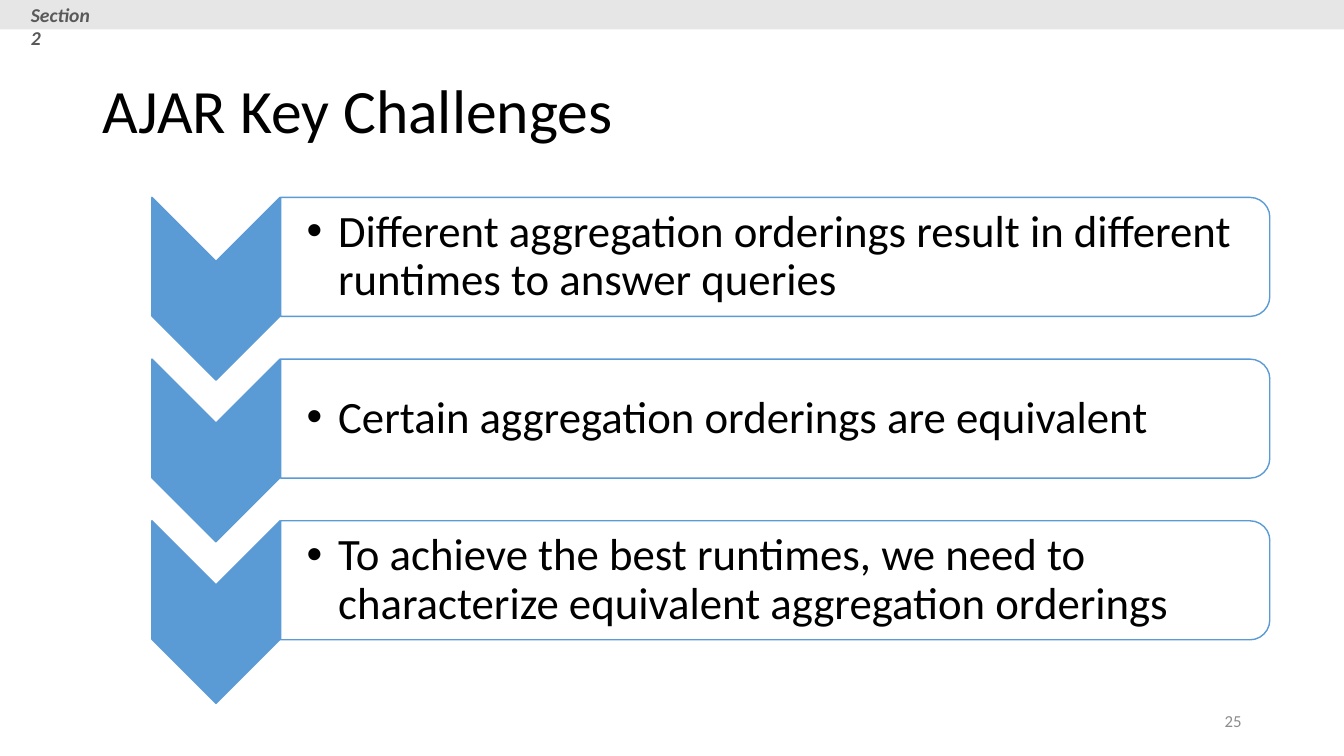
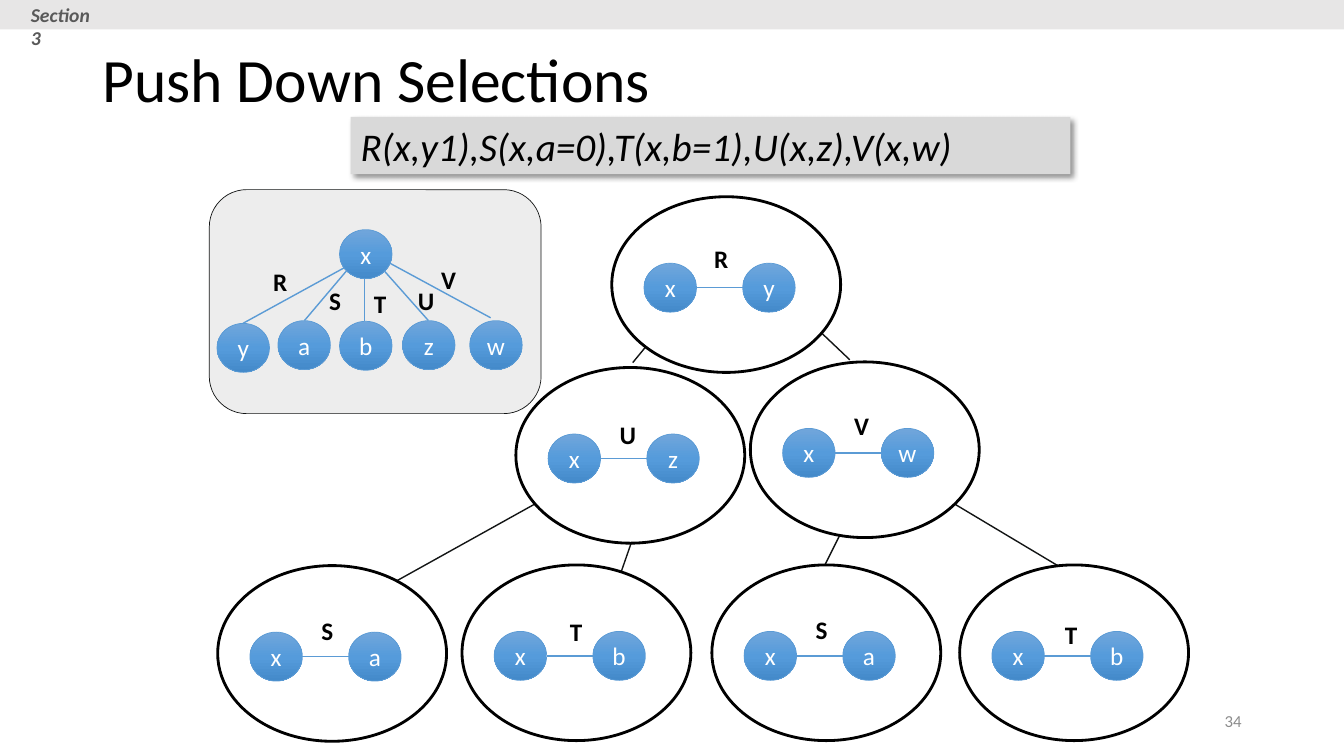
from copy import deepcopy
from dataclasses import dataclass

from lxml.etree import SubElement
from pptx import Presentation
from pptx.dml.color import RGBColor as RGB
from pptx.enum.shapes import MSO_CONNECTOR as Wire, MSO_SHAPE as Form
from pptx.enum.text import MSO_ANCHOR as Anchor, PP_ALIGN as Align
from pptx.oxml.ns import qn
from pptx.util import Pt


@dataclass(frozen=True)
class Theme:
    font: str = "Calibri"
    black: str = "000000"
    white: str = "FFFFFF"
    blue: str = "5B9BD5"
    edge: str = "131515"
    band: str = "E7E6E6"
    panel: str = "EDEDED"
    query: str = "D9D9D9"
    label: str = "595959"
    number: str = "8C8C8C"
    shade: tuple = ((0, "71A6DB"), (0.5, "559BDB"), (1, "448ACA"))
    title: int = 44
    body: int = 32
    code: int = 28
    node: int = 18
    head: int = 14
    foot: int = 12


def put(item, **vals):
    for name, val in vals.items():
        setattr(item, name, val)


def box(*nums):
    return [Pt(num) for num in nums]


class Deck:
    NODE = (37.5, 35)
    BAG = (163.5, 125.5)

    def __init__(self, theme):
        self.theme = theme
        self.file = Presentation()
        put(self.file, slide_width=Pt(960), slide_height=Pt(540))
        self.slide = None

    def start(self, title, top, section, number):
        look = self.theme
        self.slide = self.file.slides.add_slide(self.file.slide_layouts[5])
        head = self.slide.shapes.title
        put(head, left=Pt(66), top=Pt(top), width=Pt(876), height=Pt(104.5))
        self.label(head, title, look.title, look.black, space=0.9)
        self.shape(Form.RECTANGLE, (0, 0, 960, 21), look.band)
        self.text((15, -1.5, 66, 24.5), section, look.head, look.label,
                  anchor=Anchor.TOP, bold=True, italic=True)
        self.text((678, 500.5, 216, 28.5), number, look.foot, look.number,
                  align=Align.RIGHT)

    def label(self, item, text, size, color, align=Align.LEFT,
              anchor=Anchor.MIDDLE, space=None, inset=(7.2, 3.6, 7.2, 3.6),
              bullet=False, **style):
        left, top, right, base = box(*inset)
        frame = item.text_frame
        put(frame, word_wrap=True, vertical_anchor=anchor, margin_left=left,
            margin_top=top, margin_right=right, margin_bottom=base)
        para = frame.paragraphs[0]
        para.text = text
        put(para, alignment=align, line_spacing=space)
        if bullet:
            props = para._p.get_or_add_pPr()
            props.set("marL", str(Pt(22.5)))
            props.set("indent", str(-Pt(22.5)))
            SubElement(props, qn("a:buFont")).set("typeface", "Arial")
            SubElement(props, qn("a:buChar")).set("char", "•")
        put(para.font, name=self.theme.font, size=Pt(size), **style)
        para.font.color.rgb = RGB.from_string(color)

    def text(self, area, text, size, color, **style):
        item = self.slide.shapes.add_textbox(*box(*area))
        self.label(item, text, size, color, **style)

    def shape(self, form, area, fill, line=None, width=1):
        item = self.slide.shapes.add_shape(form, *box(*area))
        item.shadow.inherit = False
        if isinstance(fill, tuple):
            self.blend(item, fill)
        else:
            item.fill.solid()
            item.fill.fore_color.rgb = RGB.from_string(fill)
        if line:
            item.line.color.rgb = RGB.from_string(line)
            item.line.width = Pt(width)
        else:
            item.line.fill.background()
        return item

    def blend(self, item, shades):
        item.fill.gradient()
        item.fill.gradient_angle = 270
        stops = item._element.spPr.find(qn("a:gradFill")).find(qn("a:gsLst"))
        stops.append(deepcopy(stops[0]))
        for stop, (place, color) in zip(item.fill.gradient_stops, shades):
            stop.position = place
            stop.color.rgb = RGB.from_string(color)

    def turn(self, form, area, fill, line):
        x, y, w, h = area
        side = (w - h) / 2
        item = self.shape(form, (x + side, y - side, h, w), fill, line)
        item.rotation = 90

    def line(self, start, end, color):
        item = self.slide.shapes.add_connector(
            Wire.STRAIGHT, *box(*start, *end))
        item.line.color.rgb = RGB.from_string(color)
        item.line.width = Pt(1)
        SubElement(item._element.spPr, qn("a:effectLst"))

    def step(self, y, text):
        look = self.theme
        self.turn(Form.CHEVRON, (108.5, y, 91.5, 130.5), look.blue, look.blue)
        self.turn(Form.ROUND_2_SAME_RECTANGLE, (200.5, y, 706.5, 85),
                  look.white, look.blue)
        self.text((201, y + 4.5, 702, 76), text, look.body, look.black,
                  space=0.9, inset=(18, 1.5, 1.5, 1.5), bullet=True)

    def query(self, area, text):
        look = self.theme
        item = self.shape(Form.RECTANGLE, area, look.query)
        self.label(item, text, look.code, look.black, anchor=Anchor.TOP,
                   italic=True)
        glow = SubElement(item._element.spPr.find(qn("a:effectLst")),
                          qn("a:outerShdw"))
        for name, val in {"blurRad": Pt(4), "dist": Pt(3), "dir": 2700000,
                          "algn": "tl", "rotWithShape": 0}.items():
            glow.set(name, str(val))
        tone = SubElement(glow, qn("a:srgbClr"))
        tone.set("val", look.black)
        SubElement(tone, qn("a:alpha")).set("val", "43000")

    def node(self, x, y, name):
        look = self.theme
        item = self.shape(Form.OVAL, (x, y, *self.NODE), look.shade,
                          look.blue, 0.5)
        self.label(item, name, look.node, look.white, align=Align.CENTER,
                   inset=(0, 0, 0, 0))

    def tag(self, x, y, name):
        look = self.theme
        self.text((x, y, 29, 29), name, look.node, look.black,
                  anchor=Anchor.TOP, bold=True)

    def bag(self, x, y, name, leaf, dx, dy):
        look = self.theme
        self.shape(Form.OVAL, (x, y, *self.BAG), look.white, look.black, 2)
        near, far, top = x + 23, x + 93.5, y + 47.5
        wide, high = self.NODE
        self.node(near, top, "x")
        self.node(far, top, leaf)
        mid = top + high / 2
        self.line((near + wide, mid), (far, mid), look.blue)
        self.tag(x + dx, y + dy, name)

    def graph(self, area, root, spokes):
        look = self.theme
        self.shape(Form.ROUNDED_RECTANGLE, area, look.panel, look.edge, 0.5)
        self.node(*root, "x")
        for leaf, spot, start, end, name, place in spokes:
            self.node(*spot, leaf)
            self.line(start, end, look.blue)
            self.tag(*place, name)


STEPS = (
    "Different aggregation orderings result in different runtimes to answer queries",
    "Certain aggregation orderings are equivalent",
    "To achieve the best runtimes, we need to characterize equivalent aggregation orderings",
)

EDGES = (
    ((276, 419), (383, 359.5)),
    ((443, 410.5), (451, 387.5)),
    ((589, 404), (600.5, 381)),
    ((452, 259), (463.5, 245)),
    ((587.5, 238.5), (607, 257)),
    ((681, 359.5), (755.5, 404)),
)

BAGS = (
    (155.5, 404, "S", "a", 67, 32),
    (330, 403.5, "T", "b", 70, 33.5),
    (508.5, 403.5, "S", "a", 67, 32),
    (685.5, 403.5, "T", "b", 68, 35),
    (368.5, 262.5, "U", "z", 67, 33.5),
    (536, 258.5, "V", "w", 67, 31),
    (437, 140.5, "R", "y", 66, 30),
)

SPOKES = (
    ("y", (155, 231), (245.5, 191.5), (173.5, 231), "R", (188, 186.5)),
    ("a", (198.5, 229), (247.5, 193.5), (217.5, 229), "S", (228, 200)),
    ("b", (242.5, 229.5), (260.5, 198.5), (260.5, 229.5), "T", (260, 202.5)),
    ("z", (287.5, 229), (274.5, 193.5), (306, 229), "U", (291.5, 200)),
    ("w", (335.5, 229), (278.5, 188), (350.5, 227), "V", (308, 185)),
)


def main():
    deck = Deck(Theme())

    deck.start("AJAR Key Challenges", 29, "Section 2", "25")
    for row, text in enumerate(STEPS):
        deck.step(141 + row * 115.5, text)

    deck.start("Push Down Selections", 6.5, "Section 3", "34")
    deck.query((250.5, 83.5, 514, 41),
               "R(x,y1),S(x,a=0),T(x,b=1),U(x,z),V(x,w)")
    for start, end in EDGES:
        deck.line(start, end, deck.theme.edge)
    for bag in BAGS:
        deck.bag(*bag)
    deck.graph((149.5, 135.5, 237, 160), (242.5, 164), SPOKES)

    deck.file.save("out.pptx")


if __name__ == "__main__":
    main()
